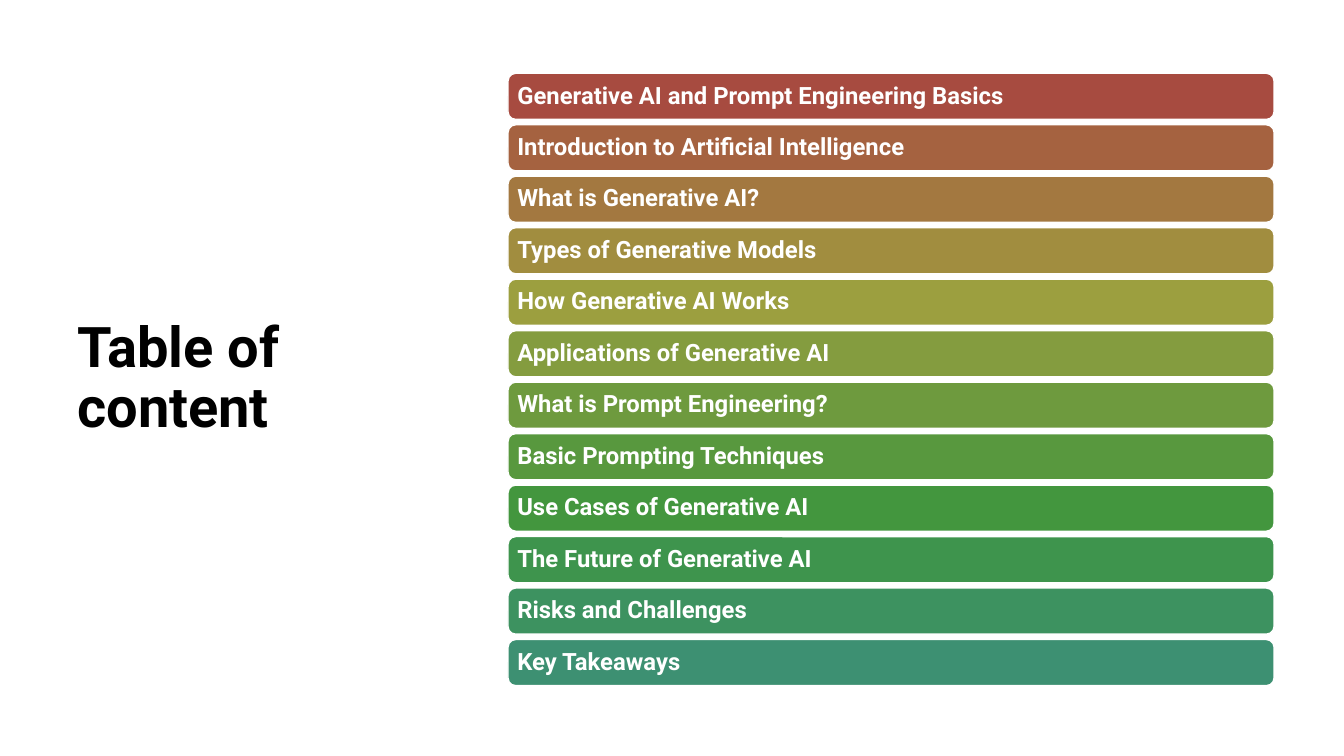
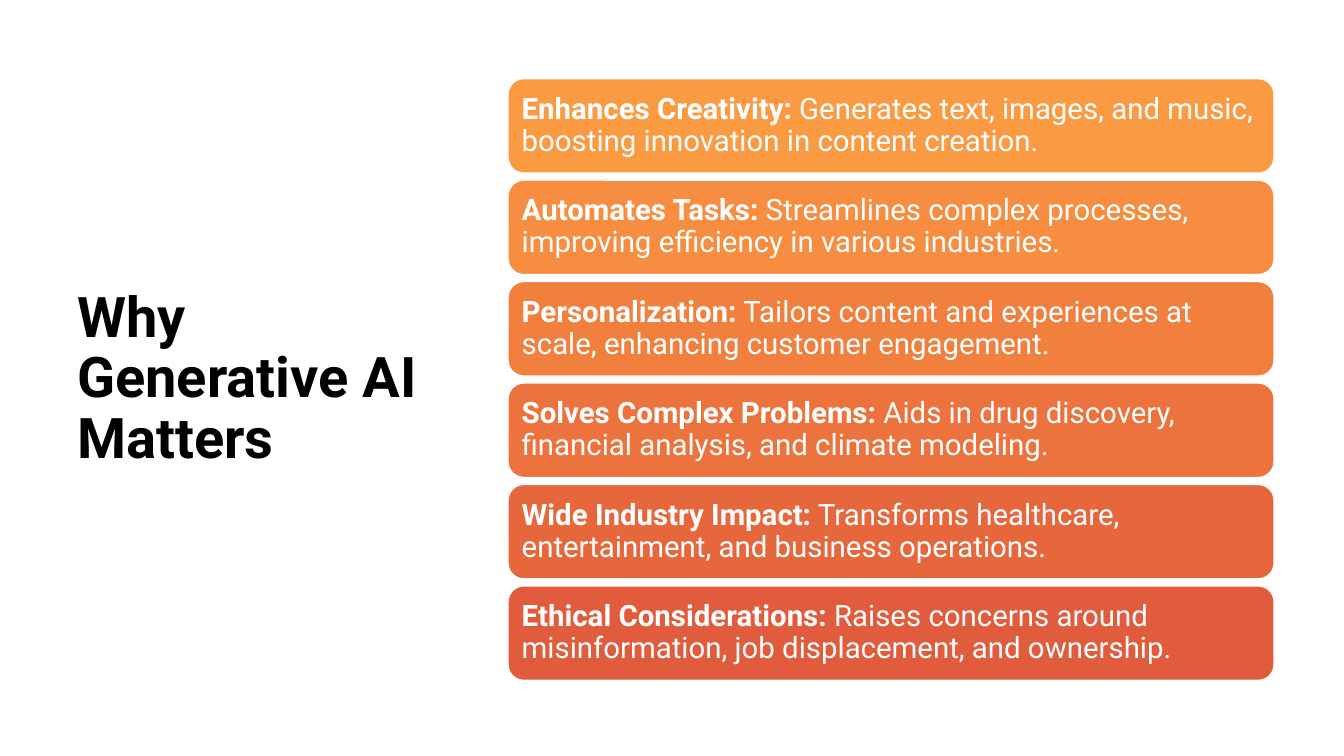
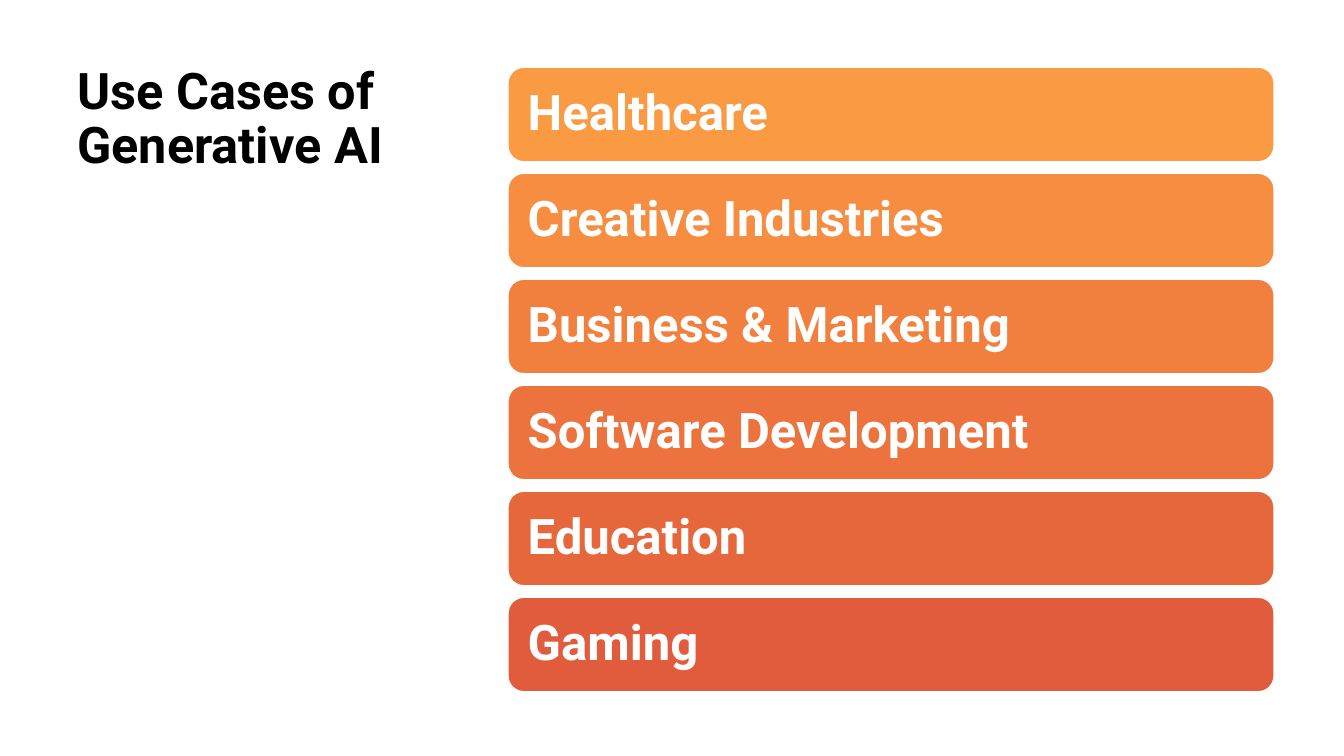
from pptx import Presentation
from pptx.dml.color import RGBColor
from pptx.enum.shapes import MSO_SHAPE
from pptx.enum.text import MSO_ANCHOR, MSO_AUTO_SIZE, PP_ALIGN
from pptx.util import Inches, Pt

ROUNDED = MSO_SHAPE.ROUNDED_RECTANGLE
LEFT = PP_ALIGN.LEFT
TOP, MIDDLE = MSO_ANCHOR.TOP, MSO_ANCHOR.MIDDLE
NO_AUTOFIT = MSO_AUTO_SIZE.NONE

FONT = "Roboto"
SLIDE_WIDTH, SLIDE_HEIGHT = Inches(13.33), Inches(7.5)
TITLE_ONLY = 5

COLOURS = {
    "title": "000000", "bar text": "FFFFFF", "bar edge": "FFFFFF",
    "red": "A74B40", "rust": "A56240", "bronze": "A37840", "gold": "A18D3F",
    "olive": "9C9F3F", "moss": "849C3F", "leaf": "6E9A3E", "grass": "58983E",
    "green": "43963E", "emerald": "3E944D", "jade": "3D9260", "teal": "3D9072",
    "amber": "FA9A42", "apricot": "F68D40", "orange": "F1803F",
    "coral": "EC733E", "vermilion": "E7673D", "brick": "E15C3D",
}
RAINBOW = ("red", "rust", "bronze", "gold", "olive", "moss",
           "leaf", "grass", "green", "emerald", "jade", "teal")
SUNSET = ("amber", "apricot", "orange", "coral", "vermilion", "brick")

# Percent of the slide's width or height
TITLE_LEFT, TITLE_TOP, TITLE_WIDTH, TITLE_HEIGHT = 5, 8, 28.65, 84.4
BAR_LEFT, BAR_WIDTH = 37.8, 57

CONTENTS = (
    "Generative AI and Prompt Engineering Basics",
    "Introduction to Artificial Intelligence",
    "What is Generative AI?",
    "Types of Generative Models",
    "How Generative AI Works",
    "Applications of Generative AI",
    "What is Prompt Engineering?",
    "Basic Prompting Techniques",
    "Use Cases of Generative AI",
    "The Future of Generative AI",
    "Risks and Challenges",
    "Key Takeaways",
)
REASONS = (
    ("Enhances Creativity:",
     " Generates text, images, and music, boosting innovation in content creation."),
    ("Automates Tasks:",
     " Streamlines complex processes, improving efficiency in various industries."),
    ("Personalization:",
     " Tailors content and experiences at scale, enhancing customer engagement."),
    ("Solves Complex Problems:",
     " Aids in drug discovery, financial analysis, and climate modeling."),
    ("Wide Industry Impact:",
     " Transforms healthcare, entertainment, and business operations."),
    ("Ethical Considerations:",
     " Raises concerns around misinformation, job displacement, and ownership."),
)
USE_CASES = ("Healthcare", "Creative Industries", "Business & Marketing",
             "Software Development", "Education", "Gaming")


def across(percent):
    return round(SLIDE_WIDTH * percent / 100)


def down(percent):
    return round(SLIDE_HEIGHT * percent / 100)


def colour(name):
    return RGBColor.from_string(COLOURS[name])


def write_text(shape, lead, rest="", *, size, color, anchor=MIDDLE, inset=None):
    """Write one paragraph: a bold lead, then an optional regular rest."""
    frame = shape.text_frame
    frame.word_wrap = True
    frame.auto_size = NO_AUTOFIT
    frame.vertical_anchor = anchor
    if inset is not None:
        frame.margin_left = frame.margin_right = Inches(inset)
        frame.margin_top = frame.margin_bottom = Inches(inset)
    paragraph = frame.paragraphs[0]
    paragraph.alignment = LEFT
    paragraph.line_spacing = 0.9
    for text, bold in ((lead, True), (rest, False)):
        if text:
            run = paragraph.add_run()
            run.text = text
            run.font.name = FONT
            run.font.size = Pt(size)
            run.font.bold = bold
            run.font.color.rgb = colour(color)


def add_titled_slide(presentation, text, size=40, anchor=MIDDLE):
    slide = presentation.slides.add_slide(presentation.slide_layouts[TITLE_ONLY])
    title = slide.shapes.title
    title.left, title.top = across(TITLE_LEFT), down(TITLE_TOP)
    title.width, title.height = across(TITLE_WIDTH), down(TITLE_HEIGHT)
    write_text(title, text, size=size, color="title", anchor=anchor)
    return slide


def add_bar(slide, top, height, fill, texts, size, inset):
    bar = slide.shapes.add_shape(
        ROUNDED, across(BAR_LEFT), down(top), across(BAR_WIDTH), down(height))
    bar.shadow.inherit = False
    bar.fill.solid()
    bar.fill.fore_color.rgb = colour(fill)
    bar.line.color.rgb = colour("bar edge")
    bar.line.width = Pt(1)
    write_text(bar, *texts, size=size, color="bar text", inset=inset)


def add_bar_list(slide, items, fills, *, top, bottom, height, size, inset):
    """Spread bars evenly from top to bottom, all in percent of the height."""
    pitch = (bottom - top - height) / (len(items) - 1)
    for row, (item, fill) in enumerate(zip(items, fills)):
        texts = (item,) if isinstance(item, str) else item
        add_bar(slide, top + row * pitch, height, fill, texts, size, inset)


def main():
    presentation = Presentation()
    presentation.slide_width = SLIDE_WIDTH
    presentation.slide_height = SLIDE_HEIGHT

    slide = add_titled_slide(presentation, "Table of content")
    add_bar_list(slide, CONTENTS, RAINBOW, top=9.7, bottom=90.7,
                 height=6.1, size=17, inset=0.07)

    slide = add_titled_slide(presentation, "Why Generative AI Matters")
    add_bar_list(slide, REASONS, SUNSET, top=10.4, bottom=90,
                 height=12.5, size=21, inset=0.09)

    slide = add_titled_slide(presentation, "Use Cases of Generative AI",
                             size=36, anchor=TOP)
    add_bar_list(slide, USE_CASES, SUNSET, top=8.9, bottom=91.5,
                 height=12.5, size=35, inset=0.15)

    presentation.save("out.pptx")


if __name__ == "__main__":
    main()
